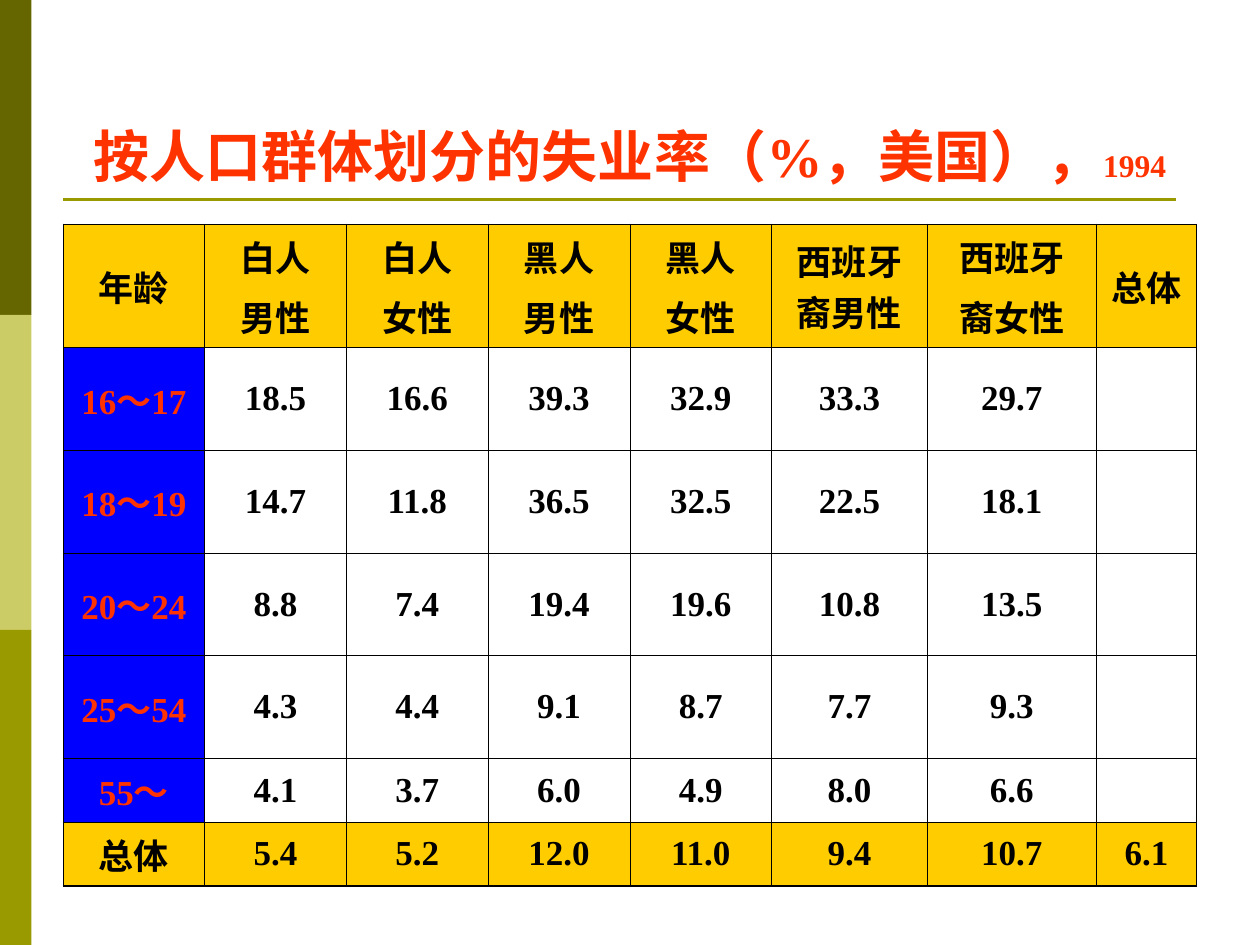
from pptx import Presentation
from pptx import util as u
from pptx.dml.color import RGBColor
from pptx.enum import shapes, text
from pptx.oxml import parse_xml
from pptx.oxml import ns

Pt = u.Pt
FONT = "Times New Roman"
COLORS = {
    "dark_olive": "666600",
    "pale_olive": "CCCC66",
    "olive": "999900",
    "red": "FF3300",
    "gold": "FFCC00",
    "blue": "0000FF",
    "black": "000000",
}
TITLE = [("按人口群体划分的失业率（%，美国），", 32), ("1994", 18)]
COLUMN_WIDTHS = [81] * 5 + [89, 96.5, 57.5]
ROW_HEIGHTS = [70.4] + [58.7] * 4 + [36.4] * 2
# A line break inside a cell starts a new paragraph
ROWS = [
    ["年龄", "白人\n男性", "白人\n女性", "黑人\n男性", "黑人\n女性",
     "西班牙裔男性", "西班牙\n裔女性", "总体"],
    ["16～17", "18.5", "16.6", "39.3", "32.9", "33.3", "29.7", ""],
    ["18～19", "14.7", "11.8", "36.5", "32.5", "22.5", "18.1", ""],
    ["20～24", "8.8", "7.4", "19.4", "19.6", "10.8", "13.5", ""],
    ["25～54", "4.3", "4.4", "9.1", "8.7", "7.7", "9.3", ""],
    ["55～", "4.1", "3.7", "6.0", "4.9", "8.0", "6.6", ""],
    ["总体", "5.4", "5.2", "12.0", "11.0", "9.4", "10.7", "6.1"],
]


def rgb(name):
    return RGBColor.from_string(COLORS[name])


def style_font(font, color):
    font.name = FONT
    font.bold = True
    font.color.rgb = rgb(color)


def add_side_band(page, left, top, width, height):
    names = ["dark_olive", "pale_olive", "olive"]
    step = height / len(names)
    for index, name in enumerate(names):
        block = page.shapes.add_shape(
            shapes.MSO_SHAPE.RECTANGLE,
            Pt(left), Pt(top + index * step), Pt(width), Pt(step))
        block.shadow.inherit = False
        block.fill.solid()
        block.fill.fore_color.rgb = rgb(name)
        block.line.fill.background()


def add_title(page, left, top, width, height):
    box = page.shapes.add_textbox(Pt(left), Pt(top), Pt(width), Pt(height))
    frame = box.text_frame
    frame.word_wrap = True
    frame.vertical_anchor = text.MSO_ANCHOR.BOTTOM
    para = frame.paragraphs[0]
    para.alignment = text.PP_ALIGN.CENTER
    for words, size in TITLE:
        span = para.add_run()
        span.text = words
        span.font.size = Pt(size)
        style_font(span.font, "red")


def add_rule(page, left, top, width):
    rule = page.shapes.add_connector(
        shapes.MSO_CONNECTOR.STRAIGHT,
        Pt(left), Pt(top), Pt(left + width), Pt(top))
    rule.line.color.rgb = rgb("olive")
    rule.line.width = Pt(1.5)
    rule._element.spPr.append(parse_xml(f"<a:effectLst {ns.nsdecls('a')}/>"))


def set_borders(cell, widths):
    properties = cell._tc.get_or_add_tcPr()
    for side, width in widths.items():
        properties.append(parse_xml(
            f'<a:ln{side} {ns.nsdecls("a")} w="{Pt(width)}"><a:solidFill>'
            f'<a:srgbClr val="{COLORS["black"]}"/></a:solidFill></a:ln{side}>'))


def fill_cell(cell, words, fill, color):
    cell.vertical_anchor = text.MSO_ANCHOR.MIDDLE
    if fill:
        cell.fill.solid()
        cell.fill.fore_color.rgb = rgb(fill)
    else:
        cell.fill.background()
    cell.text = words
    for para in cell.text_frame.paragraphs:
        para.alignment = text.PP_ALIGN.CENTER
        para.space_before = Pt(5)
        para.font.size = Pt(20)
        style_font(para.font, color)


def add_rate_table(page, left, top):
    table = page.shapes.add_table(
        len(ROWS), len(COLUMN_WIDTHS), Pt(left), Pt(top),
        Pt(sum(COLUMN_WIDTHS)), Pt(sum(ROW_HEIGHTS))).table
    for column, width in zip(table.columns, COLUMN_WIDTHS):
        column.width = Pt(width)
    last = len(ROWS) - 1
    for r, (row, height) in enumerate(zip(ROWS, ROW_HEIGHTS)):
        table.rows[r].height = Pt(height)
        for c, words in enumerate(row):
            # Gold for header and totals, blue for age groups
            if r in (0, last):
                fill, color = "gold", "black"
            elif c == 0:
                fill, color = "blue", "red"
            else:
                fill, color = None, "black"
            cell = table.cell(r, c)
            set_borders(cell, {"L": 0.45, "R": 0.45,
                               "T": 1.08 if r == 0 else 0.45,
                               "B": 1.08 if r == last else 0.45})
            fill_cell(cell, words, fill, color)


def main():
    deck = Presentation()
    deck.slide_width, deck.slide_height = Pt(720), Pt(540)
    page = deck.slides.add_slide(deck.slide_layouts[6])
    add_side_band(page, 0, 0, 18, 540)
    add_rule(page, 36, 114, 636)
    add_title(page, 36, 21.6, 648, 90)
    add_rate_table(page, 36, 128.2)
    deck.save("out.pptx")


if __name__ == "__main__":
    main()
